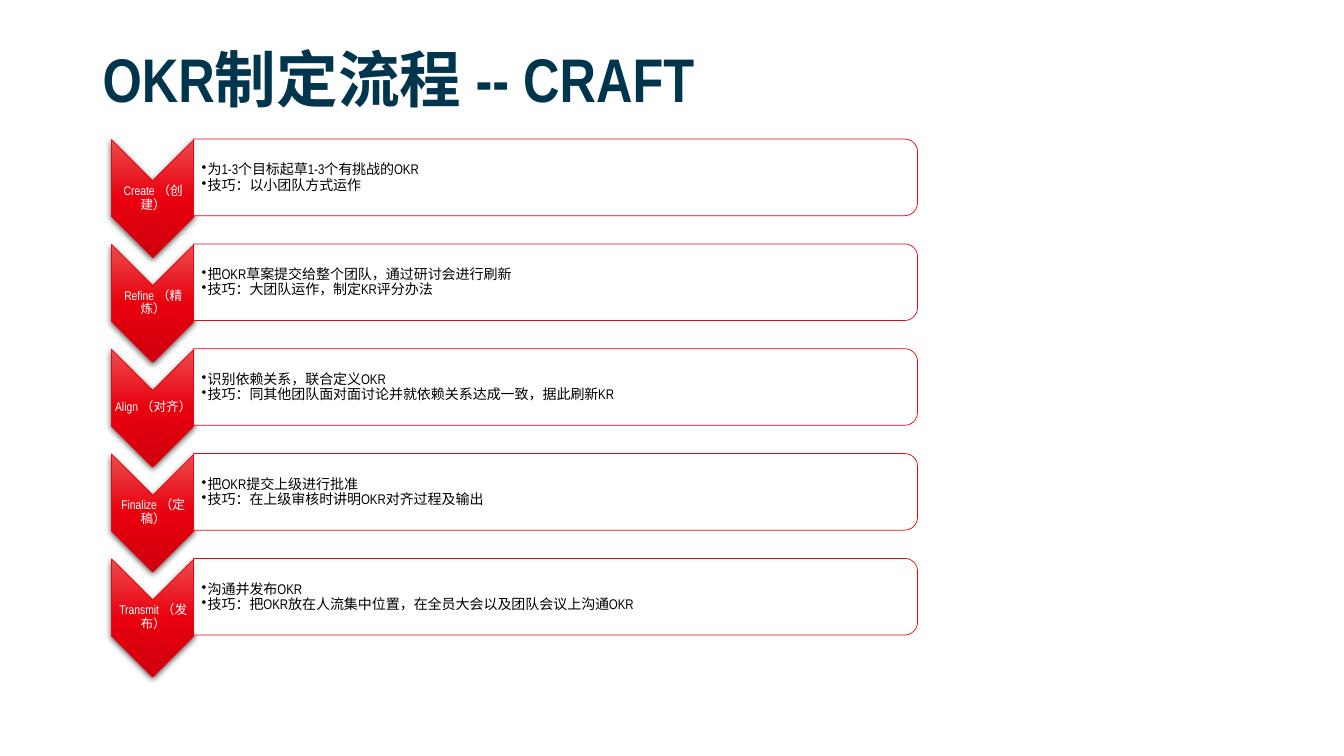
from lxml import etree
from pptx import Presentation
from pptx.dml.color import RGBColor
from pptx.enum.shapes import MSO_SHAPE as SHAPE
from pptx.enum.text import MSO_ANCHOR as ANCHOR, PP_ALIGN as ALIGN
from pptx.oxml import parse_xml
from pptx.oxml.ns import nsdecls, qn
from pptx.util import Inches, Pt


def rgb(value):
    return RGBColor.from_string(value)


def add_text(slide, lines, box, size, color, bold=False, align=ALIGN.LEFT,
             insets=(0.1, 0.05, 0.1, 0.05), bullet=False):
    tf = slide.shapes.add_textbox(*map(Inches, box)).text_frame
    tf.word_wrap = True
    tf.vertical_anchor = ANCHOR.MIDDLE
    tf.margin_left, tf.margin_top, tf.margin_right, tf.margin_bottom = map(Inches, insets)
    for i, line in enumerate(lines):
        p = tf.paragraphs[0] if i == 0 else tf.add_paragraph()
        p.alignment = align
        p.line_spacing = 0.9
        if bullet:
            p.level = 1
            pPr = p._p.get_or_add_pPr()
            pPr.set("marL", str(Inches(0.06)))
            pPr.set("indent", str(-Inches(0.06)))
            etree.SubElement(pPr, qn("a:buChar")).set("char", "•")
        r = p.add_run()
        r.text = line
        r.font.name = "Arial Narrow"
        r.font.size = Pt(size)
        r.font.bold = bold
        r.font.color.rgb = rgb(color)


RED = "E30613"
STEP = 1.04
GRADIENT = [(0, "EC4B4C"), (50, "E9000E"), (100, "CF000C")]
STEPS = [
    ("Create （创建）", ["为1-3个目标起草1-3个有挑战的OKR", "技巧：以小团队方式运作"]),
    ("Refine （精炼）", ["把OKR草案提交给整个团队，通过研讨会进行刷新",
                     "技巧：大团队运作，制定KR评分办法"]),
    ("Align （对齐）", ["识别依赖关系，联合定义OKR",
                    "技巧：同其他团队面对面讨论并就依赖关系达成一致，据此刷新KR"]),
    ("Finalize （定稿）", ["把OKR提交上级进行批准", "技巧：在上级审核时讲明OKR对齐过程及输出"]),
    ("Transmit （发布）", ["沟通并发布OKR",
                       "技巧：把OKR放在人流集中位置，在全员大会以及团队会议上沟通OKR"]),
]

prs = Presentation()
prs.slide_width = Inches(13.33)
prs.slide_height = Inches(7.5)
s = prs.slides.add_slide(prs.slide_layouts[6])

add_text(s, ["OKR制定流程 -- CRAFT"], (0.92, 0.4, 8, 0.83), 44, "00354E", bold=True)

stops = "".join(f'<a:gs pos="{pos * 1000}"><a:srgbClr val="{color}"/></a:gs>'
                for pos, color in GRADIENT)

for i, (label, details) in enumerate(STEPS):
    top = i * STEP
    chevron = s.shapes.add_shape(SHAPE.CHEVRON, Inches(0.93), Inches(1.56 + top),
                                 Inches(1.17), Inches(0.82))
    panel = s.shapes.add_shape(SHAPE.ROUND_2_SAME_RECTANGLE, Inches(5.13),
                               Inches(-1.83 + top), Inches(0.76), Inches(7.18))
    for sp in (chevron, panel):
        sp.rotation = 90
        sp.shadow.inherit = False
        sp.line.color.rgb = rgb(RED)
        sp.line.width = Pt(0.5)

    spPr = chevron._element.spPr
    spPr.find(qn("a:prstGeom")).addnext(parse_xml(
        f'<a:gradFill {nsdecls("a")} rotWithShape="0"><a:gsLst>{stops}</a:gsLst>'
        '<a:lin ang="5400000" scaled="0"/></a:gradFill>'))
    spPr.find(qn("a:effectLst")).append(parse_xml(
        f'<a:outerShdw {nsdecls("a")} blurRad="{Pt(4.5)}" dist="{Pt(1.5)}" dir="5400000" '
        'algn="ctr" rotWithShape="0"><a:srgbClr val="000000"><a:alpha val="63000"/>'
        '</a:srgbClr></a:outerShdw>'))

    panel.fill.solid()
    panel.fill.fore_color.rgb = rgb("FFFFFF")
    white = panel._element.spPr.find(qn("a:solidFill")).find(qn("a:srgbClr"))
    etree.SubElement(white, qn("a:alpha")).set("val", "90000")

    add_text(s, [label], (1.11, 1.79 + top, 0.82, 0.35), 9, "FFFFFF",
             align=ALIGN.CENTER, insets=(0.01, 0.01, 0.01, 0.01))
    add_text(s, details, (1.92, 1.42 + top, 7.14, 0.69), 10, "000000",
             insets=(0.08, 0.01, 0.01, 0.01), bullet=True)

prs.save("out.pptx")
